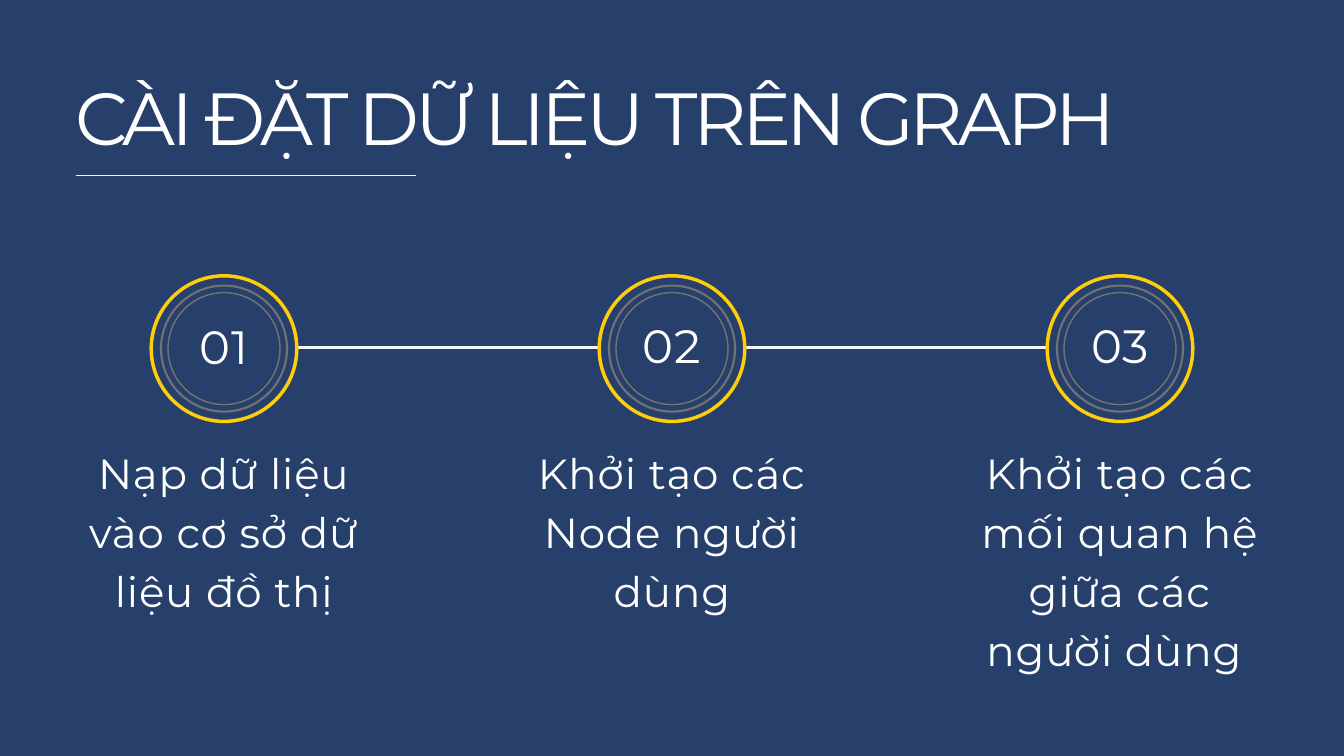
from typing import NamedTuple

from lxml.etree import SubElement
from pptx import Presentation
from pptx.dml.color import RGBColor
from pptx.enum.shapes import MSO_CONNECTOR, MSO_SHAPE
from pptx.enum.text import MSO_AUTO_SIZE, PP_ALIGN
from pptx.oxml.ns import qn
from pptx.util import Pt

EMU_PER_PX = 9525  # 96 px to the inch

NAVY = RGBColor(0x26, 0x3F, 0x6B)
WHITE = RGBColor(0xFF, 0xFF, 0xFF)
OFF_WHITE = RGBColor(0xF4, 0xF4, 0xF4)
GRAY = RGBColor(0x73, 0x73, 0x73)
GOLD = RGBColor(0xFF, 0xCE, 0x08)

FONT = "Montserrat"
MARGIN = 108
RING_CENTER_Y = 498
LINK_Y = 496
CAPTION_TOP = 628
CAPTION_WIDTH = 424
NUMBER_WIDTH = 146


class TextStyle(NamedTuple):
    size: int
    leading: int
    tracking: float
    align: PP_ALIGN


class Ring(NamedTuple):
    diameter: int
    color: RGBColor
    weight: float


class Step(NamedTuple):
    number: str
    number_top: int
    center_x: int
    caption: str
    caption_height: int


TITLE = TextStyle(79, 79, -4.7, PP_ALIGN.LEFT)
CAPTION = TextStyle(45, 63, 0.9, PP_ALIGN.CENTER)
NUMBER = TextStyle(50, 50, 1, PP_ALIGN.CENTER)

RINGS = [Ring(160, GRAY, 1.5), Ring(180, GRAY, 2.25), Ring(208, GOLD, 3.75)]
OUTER_RADIUS = RINGS[-1].diameter // 2

STEPS = [
    Step("01", 468, 320, "Nạp dữ liệu vào cơ sở dữ liệu đồ thị", 248),
    Step("02", 466, 960, "Khởi tạo các Node người dùng", 248),
    Step("03", 466, 1600, "Khởi tạo các mối quan hệ giữa các người dùng ", 332),
]


def px(length: int) -> int:
    return length * EMU_PER_PX


def add_text(shapes, text: str, left: int, top: int, width: int, height: int,
             style: TextStyle) -> None:
    box = shapes.add_textbox(px(left), px(top), px(width), px(height))
    frame = box.text_frame
    frame.word_wrap = True
    frame.auto_size = MSO_AUTO_SIZE.SHAPE_TO_FIT_TEXT
    frame.margin_left = frame.margin_right = 0
    frame.margin_top = frame.margin_bottom = 0
    para = frame.paragraphs[0]
    para.alignment = style.align
    para.line_spacing = Pt(style.leading)
    span = para.add_run()
    span.text = text
    span.font.name = FONT
    span.font.size = Pt(style.size)
    span.font.color.rgb = WHITE
    span._r.get_or_add_rPr().set("spc", str(round(style.tracking * 100)))


def add_line(shapes, start_x: int, end_x: int, y: int, weight: float) -> None:
    line = shapes.add_connector(MSO_CONNECTOR.STRAIGHT,
                                px(start_x), px(y), px(end_x), px(y))
    line.line.color.rgb = OFF_WHITE
    line.line.width = Pt(weight)
    SubElement(line._element.spPr, qn("a:effectLst"))


def add_ring(shapes, ring: Ring, center_x: int) -> None:
    radius = ring.diameter // 2
    circle = shapes.add_shape(MSO_SHAPE.OVAL, px(center_x - radius),
                              px(RING_CENTER_Y - radius),
                              px(ring.diameter), px(ring.diameter))
    circle.shadow.inherit = False
    circle.fill.background()
    circle.line.color.rgb = ring.color
    circle.line.width = Pt(ring.weight)


def add_step(page, step: Step) -> None:
    badge = page.shapes.add_group_shape()
    for ring in RINGS:
        add_ring(badge.shapes, ring, step.center_x)
    add_text(badge.shapes, step.number, step.center_x - NUMBER_WIDTH // 2,
             step.number_top, NUMBER_WIDTH, 72, NUMBER)
    add_text(page.shapes, step.caption, step.center_x - CAPTION_WIDTH // 2,
             CAPTION_TOP, CAPTION_WIDTH, step.caption_height, CAPTION)


def main() -> None:
    deck = Presentation()
    deck.slide_width, deck.slide_height = px(1920), px(1080)
    page = deck.slides.add_slide(deck.slide_layouts[6])
    page.background.fill.solid()
    page.background.fill.fore_color.rgb = NAVY

    # Title and its underline
    add_text(page.shapes, "CÀI ĐẶT DỮ LIỆU TRÊN GRAPH", MARGIN, 123, 1579, 111, TITLE)
    add_line(page.shapes, MARGIN, 594, 251, 1.5)

    # Links between neighbouring steps
    for step, following in zip(STEPS, STEPS[1:]):
        add_line(page.shapes, step.center_x + OUTER_RADIUS,
                 following.center_x - OUTER_RADIUS, LINK_Y, 3)

    # Numbered steps with captions
    for step in STEPS:
        add_step(page, step)

    deck.save("out.pptx")


if __name__ == "__main__":
    main()
